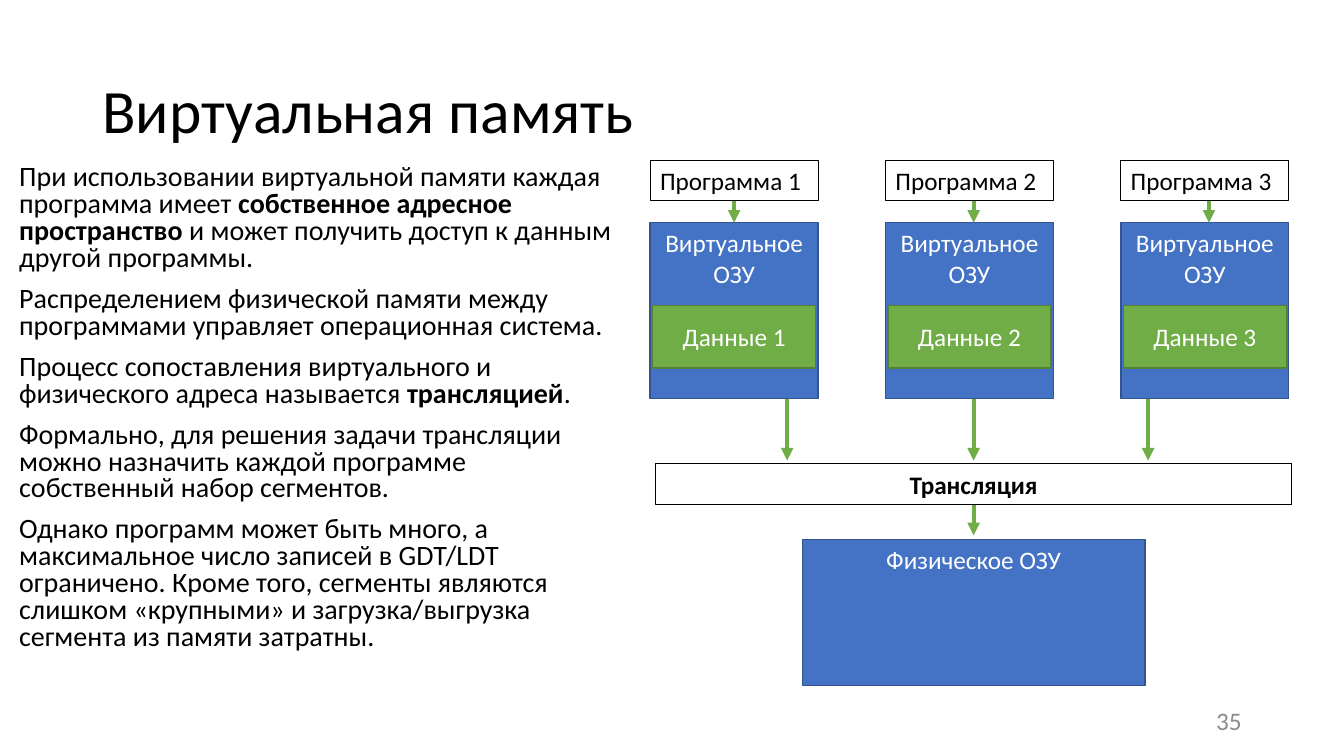
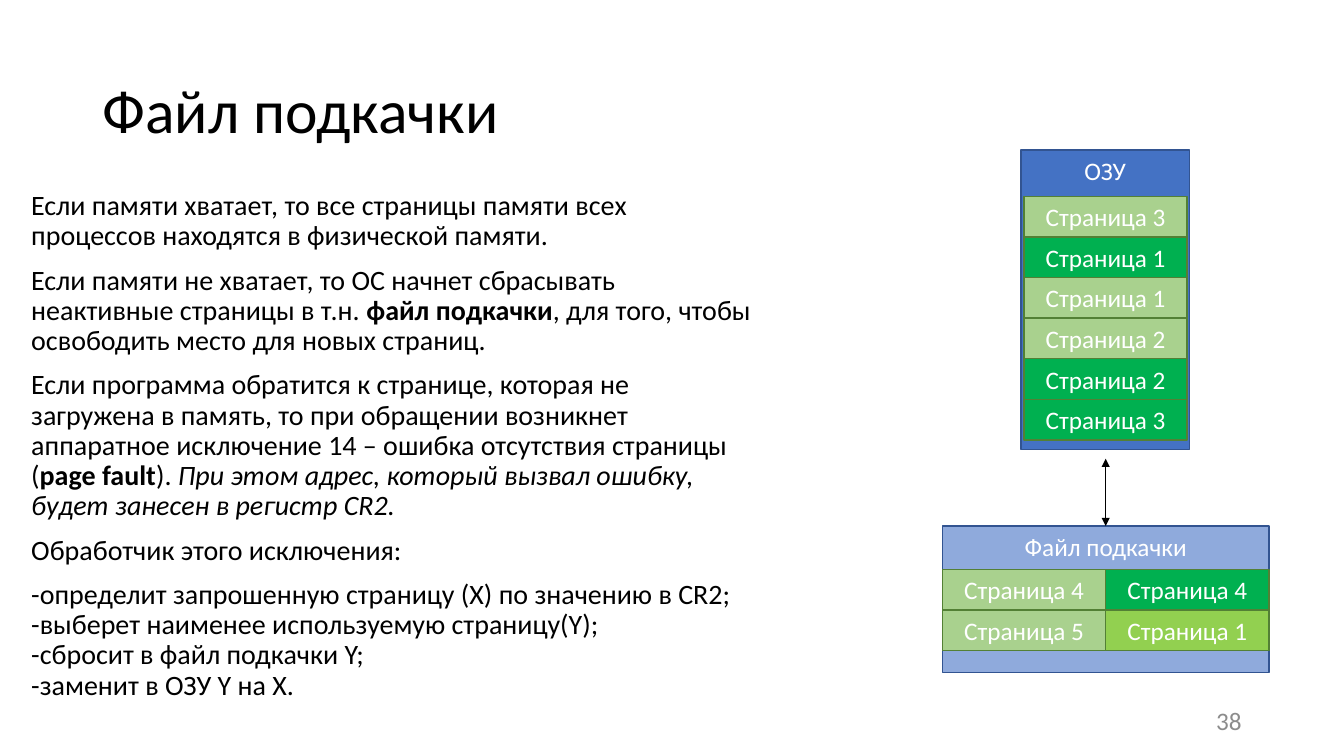
from dataclasses import dataclass
from lxml.etree import SubElement
from pptx import Presentation
from pptx.dml.color import RGBColor
from pptx.enum.shapes import MSO_CONNECTOR, MSO_SHAPE
from pptx.enum.text import MSO_ANCHOR, MSO_AUTO_SIZE, PP_ALIGN
from pptx.oxml.ns import qn
from pptx.util import Pt

TOP, BOTTOM = 0, 2  # connection sites of a rectangle


@dataclass(frozen=True)
class Theme:
    font: str = "Calibri"
    black: str = "000000"
    white: str = "FFFFFF"
    gray: str = "8C8C8C"
    blue: str = "4472C4"
    pale_blue: str = "8FAADC"
    navy: str = "325491"
    green: str = "70AD47"
    dark_green: str = "538035"
    pale_green: str = "A9D18E"
    bright_green: str = "00B050"
    lime: str = "92D050"
    title_size: int = 44
    body_size: int = 20
    label_size: int = 18


THEME = Theme()


def add_text(p, text, size=THEME.label_size, color=THEME.black, bold=False, italic=False):
    """Add formatted text to a paragraph; a newline becomes a line break."""
    for i, line in enumerate(text.split("\n")):
        if i:
            p.add_line_break()
        r = p.add_run()
        r.text = line
        r.font.name = THEME.font
        r.font.size = Pt(size)
        r.font.bold = bold
        r.font.italic = italic
        r.font.color.rgb = RGBColor.from_string(color)


class Deck:
    def __init__(self):
        self.prs = Presentation()
        self.prs.slide_width, self.prs.slide_height = Pt(960), Pt(540)
        self.s = None

    def place(self, sp, x, y, w, h):
        sp.left, sp.top, sp.width, sp.height = Pt(x), Pt(y), Pt(w), Pt(h)

    def frame(self, sp, anchor):
        tf = sp.text_frame
        tf.word_wrap = True
        tf.auto_size = MSO_AUTO_SIZE.NONE
        tf.vertical_anchor = anchor
        return tf

    def slide(self, title, number):
        self.s = self.prs.slides.add_slide(self.prs.slide_layouts[1])
        # Title
        sp = self.s.shapes.title
        self.place(sp, 66, 28.8, 828, 104.4)
        p = self.frame(sp, MSO_ANCHOR.MIDDLE).paragraphs[0]
        p.alignment = PP_ALIGN.LEFT
        p.line_spacing = 0.9
        add_text(p, title, size=THEME.title_size)
        # Slide number
        sp = self.s.shapes.add_textbox(Pt(678), Pt(500.4), Pt(216), Pt(28.8))
        p = self.frame(sp, MSO_ANCHOR.MIDDLE).paragraphs[0]
        p.alignment = PP_ALIGN.RIGHT
        add_text(p, str(number), color=THEME.gray)

    def body(self, x, y, w, h, paragraphs, spacing):
        """Each paragraph is a list of strings or (text, format) pairs."""
        sp = self.s.placeholders[1]
        self.place(sp, x, y, w, h)
        tf = self.frame(sp, MSO_ANCHOR.TOP)
        for i, parts in enumerate(paragraphs):
            p = tf.add_paragraph() if i else tf.paragraphs[0]
            p.line_spacing = spacing
            p.space_before = Pt(10 if i else 0)
            pPr = p._p.get_or_add_pPr()
            pPr.set("marL", "0")
            pPr.set("indent", "0")
            SubElement(pPr, qn("a:buNone"))
            for part in parts:
                text, fmt = (part, {}) if isinstance(part, str) else part
                add_text(p, text, size=THEME.body_size, **fmt)

    def box(self, x, y, w, h, text, fill=None, line=THEME.black, weight=1,
            anchor=MSO_ANCHOR.MIDDLE, align=PP_ALIGN.CENTER, **fmt):
        sp = self.s.shapes.add_shape(MSO_SHAPE.RECTANGLE, Pt(x), Pt(y), Pt(w), Pt(h))
        sp.shadow.inherit = False
        if fill:
            sp.fill.solid()
            sp.fill.fore_color.rgb = RGBColor.from_string(fill)
        else:
            sp.fill.background()
        sp.line.color.rgb = RGBColor.from_string(line)
        sp.line.width = Pt(weight)
        p = self.frame(sp, anchor).paragraphs[0]
        p.alignment = align
        add_text(p, text, **fmt)
        return sp

    def label(self, x, y, w, text, **fmt):
        return self.box(x, y, w, 29, text, weight=0.75, anchor=MSO_ANCHOR.TOP, **fmt)

    def memory(self, x, y, w, h, text, fill=THEME.blue):
        return self.box(x, y, w, h, text, fill=fill, line=THEME.navy,
                        anchor=MSO_ANCHOR.TOP, color=THEME.white)

    def block(self, x, y, h, text, fill):
        return self.box(x, y, 116.6, h, text, fill=fill, line=THEME.dark_green,
                        color=THEME.white)

    def arrow(self, x, y1, y2, color=THEME.green, weight=3, both=False, start=None, end=None):
        c = self.s.shapes.add_connector(MSO_CONNECTOR.STRAIGHT, Pt(x), Pt(y1), Pt(x), Pt(y2))
        if start is not None:
            c.begin_connect(start, BOTTOM)
        if end is not None:
            c.end_connect(end, TOP)
        c.line.color.rgb = RGBColor.from_string(color)
        c.line.width = Pt(weight)
        spPr = c._element.spPr
        ln = spPr.find(qn("a:ln"))
        for tag in ("a:headEnd", "a:tailEnd") if both else ("a:tailEnd",):
            SubElement(ln, qn(tag), type="triangle")
        SubElement(spPr, qn("a:effectLst"))


def virtual_memory(d):
    d.slide("Виртуальная память", 35)
    bold = {"bold": True}
    d.body(6.5, 114.5, 439.2, 386, [
        ["При использовании виртуальной памяти каждая программа имеет ",
         ("собственное адресное пространство ", bold),
         "и может получить доступ к данным другой программы."],
        ["Распределением физической памяти между программами управляет операционная система."],
        ["Процесс сопоставления виртуального и физического адреса называется ",
         ("трансляцией", bold), "."],
        ["Формально, для решения задачи трансляции можно назначить каждой программе "
         "собственный набор сегментов."],
        ["Однако программ может быть много, а максимальное число записей в GDT/LDT ограничено. "
         "Кроме того, сегменты являются слишком «крупными» и загрузка/выгрузка сегмента "
         "из памяти затратны."],
    ], spacing=0.8)

    # Physical memory and translation
    center = 695.5
    d.memory(center - 122.4, 385.2, 244.8, 104.4, "Физическое ОЗУ")
    translation = d.label(center - 227, 331.4, 454, "Трансляция", bold=True)
    d.arrow(center, 360.4, 382.4, start=translation)

    # One column per program
    for i, exit_x in enumerate((562.3, center, 820.1)):
        x = 464.4 + 168.1 * i
        program = d.label(x, 114.5, 120, f"Программа {i + 1}", align=PP_ALIGN.LEFT)
        ram = d.memory(x, 159.1, 120, 125.6, "Виртуальное ОЗУ")
        d.block(x + 1.7, 218.2, 44.6, f"Данные {i + 1}", THEME.green)
        if i == 0:
            d.arrow(x + 60, 143.5, 159.1, start=program, end=ram)
        else:
            d.arrow(x + 63, 143.5, 159.1)
        d.arrow(exit_x, 284.7, 329)


def swap_file(d):
    d.slide("Файл подкачки", 38)
    bold = {"bold": True}
    d.body(15.1, 133.2, 530, 388, [
        ["Если памяти хватает, то все страницы памяти всех процессов находятся "
         "в физической памяти."],
        ["Если памяти не хватает, то ОС начнет сбрасывать неактивные страницы в т.н. ",
         ("файл подкачки", bold), ", для того, чтобы освободить место для новых страниц."],
        ["Если программа обратится к странице, которая не загружена в память, то при обращении "
         "возникнет аппаратное исключение 14 – ошибка отсутствия страницы (",
         ("page fault", bold), "). ",
         ("При этом адрес, который вызвал ошибку, будет занесен в регистр CR2.",
          {"italic": True})],
        ["Обработчик этого исключения:"],
        ["-определит запрошенную страницу (X) по значению в CR2;\n"
         "-выберет наименее используемую страницу(Y);\n"
         "-сбросит в файл подкачки Y;\n"
         "-заменит в ОЗУ Y на X."],
    ], spacing=0.9)

    pale, bright, lime = THEME.pale_green, THEME.bright_green, THEME.lime
    pitch = 29

    # Pages in memory
    d.memory(729.4, 107.3, 120.2, 213.8, "ОЗУ")
    ram_pages = [(3, pale), (1, bright), (1, pale), (2, pale), (2, bright), (3, bright)]
    for i, (page, fill) in enumerate(ram_pages):
        d.block(731.4, 140.2 + pitch * i, pitch, f"Страница {page}", fill)

    # Pages in the swap file
    swap = d.memory(673.2, 375.8, 233.2, 104.4, "Файл подкачки", fill=THEME.pale_blue)
    swap_pages = [[(4, pale), (4, bright)], [(5, pale), (1, lime)]]
    for row, cells in enumerate(swap_pages):
        for col, (page, fill) in enumerate(cells):
            d.block(673.2 + 116.6 * col, 406.8 + pitch * row, pitch, f"Страница {page}", fill)
    d.arrow(789.8, 327.6, 375.8, color=THEME.black, weight=0.5, both=True, end=swap)


def main():
    d = Deck()
    virtual_memory(d)
    swap_file(d)
    d.prs.save("out.pptx")


if __name__ == "__main__":
    main()
